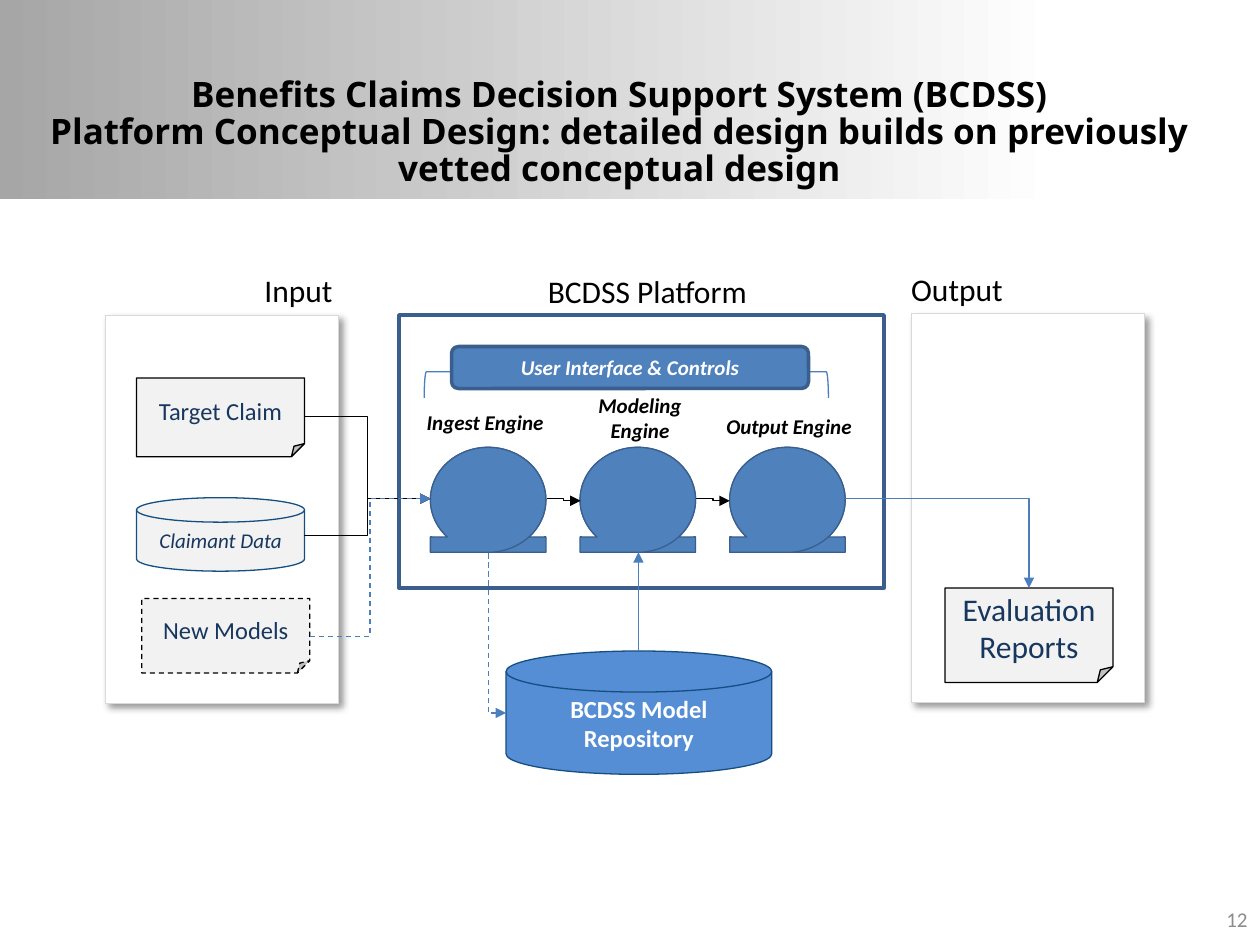
from dataclasses import dataclass
from typing import NamedTuple, Optional

from lxml import etree
from pptx import Presentation, util as u
from pptx.dml.color import RGBColor
from pptx.enum import dml, shapes as kinds, text as txt
from pptx.oxml import ns

KIND = kinds.MSO_SHAPE
LINK = kinds.MSO_CONNECTOR
ALIGN = txt.PP_ALIGN


@dataclass(frozen=True)
class Theme:
    font: str = "Calibri"
    head: str = "Noto Sans"
    black: str = "000000"
    white: str = "FFFFFF"
    pale: str = "F2F2F2"
    band: str = "A6A6A6"
    rim: str = "D9D9D9"
    mute: str = "8C8C8C"
    navy: str = "17375E"
    blue: str = "4F81BD"
    edge: str = "3A5F8C"
    disk: str = "558ED5"
    rim_disk: str = "154F82"
    wire: str = "4B7EBC"
    small: float = 12
    mid: float = 14
    big: float = 18
    title: float = 20
    thin: float = 0.75
    thick: float = 2


class Area(NamedTuple):
    col: float
    row: float
    wide: float
    high: float


class Style(NamedTuple):
    size: float
    hue: str
    bold: bool = False
    slant: bool = False
    font: str = "Calibri"


class Node(NamedTuple):
    kind: KIND
    area: Area
    fill: Optional[str]
    edge: str
    words: str = ""
    style: Optional[Style] = None
    width: float = 0.75
    dash: bool = False


class Label(NamedTuple):
    words: str
    area: Area
    style: Style
    align: ALIGN = ALIGN.LEFT
    wrap: bool = False


class Wire(NamedTuple):
    start: tuple
    stop: tuple
    hue: str
    form: str = "bentConnector3"
    dash: bool = False
    end: str = "tailEnd"


T = Theme()
COLS, ROWS = 120, 90
deck = Presentation()
deck.slide_width, deck.slide_height = u.Inches(10), u.Inches(7.5)
slide = deck.slides.add_slide(deck.slide_layouts[5])


def across(col: float) -> int:
    return round(deck.slide_width * col / COLS)


def down(row: float) -> int:
    return round(deck.slide_height * row / ROWS)


def place(area: Area) -> tuple:
    return across(area.col), down(area.row), across(area.wide), down(area.high)


def tint(hue: str) -> RGBColor:
    return RGBColor.from_string(hue)


def write(para, words: str, style: Style) -> None:
    run = para.add_run()
    run.text = words
    font = run.font
    font.name, font.size = style.font, u.Pt(style.size)
    font.bold, font.italic = style.bold, style.slant
    font.color.rgb = tint(style.hue)


def stroke(line, hue: str, width: float, dash: bool) -> None:
    line.color.rgb = tint(hue)
    line.width = u.Pt(width)
    if dash:
        line.dash_style = dml.MSO_LINE.DASH


def draw(node: Node, home=slide.shapes):
    shape = home.add_shape(node.kind, *place(node.area))
    shape.shadow.inherit = False
    if node.fill:
        shape.fill.solid()
        shape.fill.fore_color.rgb = tint(node.fill)
    else:
        shape.fill.background()
    stroke(shape.line, node.edge, node.width, node.dash)
    if node.words:
        frame = shape.text_frame
        frame.word_wrap = True
        frame.vertical_anchor = txt.MSO_ANCHOR.MIDDLE
        frame.paragraphs[0].alignment = ALIGN.CENTER
        write(frame.paragraphs[0], node.words, node.style)
    return shape


def flip(shape, axis: str) -> None:
    shape.element.spPr.find(ns.qn("a:xfrm")).set(axis, "1")


def card(area: Area) -> None:
    shape = draw(Node(KIND.RECTANGLE, area, T.white, T.rim, width=0.5))
    glow = etree.SubElement(
        shape.element.spPr.find(ns.qn("a:effectLst")), ns.qn("a:outerShdw"),
        blurRad=str(u.Pt(4)), dist=str(u.Pt(3)), dir="2700000", algn="tl", rotWithShape="0")
    hue = etree.SubElement(glow, ns.qn("a:srgbClr"), val=T.black)
    etree.SubElement(hue, ns.qn("a:alpha"), val="40000")


def reel(col: float) -> None:
    group = slide.shapes.add_group_shape()
    node = Node(KIND.FLOWCHART_SEQUENTIAL_ACCESS_STORAGE, Area(col, 42.6, 11, 10), T.blue, T.edge)
    draw(node, group.shapes)
    flip(draw(node, group.shapes), "flipH")


def tag(label: Label):
    box = slide.shapes.add_textbox(*place(label.area))
    frame = box.text_frame
    frame.word_wrap = label.wrap
    frame.auto_size = txt.MSO_AUTO_SIZE.SHAPE_TO_FIT_TEXT
    frame.paragraphs[0].alignment = label.align
    write(frame.paragraphs[0], label.words, label.style)
    return frame


def join(wire: Wire) -> None:
    (col, row), (col2, row2) = wire.start, wire.stop
    link = slide.shapes.add_connector(LINK.ELBOW, across(col), down(row), across(col2), down(row2))
    link.element.spPr.find(ns.qn("a:prstGeom")).set("prst", wire.form)
    stroke(link.line, wire.hue, T.thin, wire.dash)
    etree.SubElement(link.line._get_or_add_ln(), ns.qn("a:" + wire.end), type="triangle")
    etree.SubElement(link.element.spPr, ns.qn("a:effectLst"))


def band() -> None:
    shape = draw(Node(KIND.RECTANGLE, Area(0, 0, COLS, 19), T.white, T.white))
    shape.line.fill.background()
    shape.fill.gradient()
    shape.fill.gradient_angle = 0
    for stop, hue, spot in zip(shape.fill.gradient_stops, (T.band, T.white), (0, 0.84)):
        stop.color.rgb, stop.position = tint(hue), spot


def head() -> None:
    title = slide.shapes.title
    title.left, title.top, title.width, title.height = place(Area(2, 5.2, 114, 15))
    title.element.getparent().append(title.element)
    title.text_frame.vertical_anchor = txt.MSO_ANCHOR.MIDDLE
    para = title.text_frame.paragraphs[0]
    para.alignment, para.line_spacing = ALIGN.CENTER, 0.88
    style = Style(T.title, T.black, True, font=T.head)
    write(para, "Benefits Claims Decision Support System (BCDSS)", style)
    para.add_line_break()
    write(para, "Platform Conceptual Design: detailed design builds on previously "
                "vetted conceptual design", style)


def main() -> None:
    note = Style(T.mid, T.navy)
    name = Style(T.small, T.black, True, True)
    large = Style(T.big, T.black)
    fold, disk = KIND.FOLDED_CORNER, KIND.FLOWCHART_MAGNETIC_DISK
    band()
    card(Area(86.8, 29.9, 22.2, 37))
    card(Area(10, 30, 22.2, 37))
    draw(Node(KIND.RECTANGLE, Area(38, 30, 46.2, 26), T.white, T.edge, width=T.thick))
    for step in range(3):
        reel(41 + 14.25 * step)
    brace = draw(Node(KIND.LEFT_BRACKET, Area(58.4, 17.4, 2.5, 38.5), None, T.wire))
    brace.rotation = 90
    flip(brace, "flipV")
    for node in (
        Node(fold, Area(13, 36, 16, 7.5), T.pale, T.black, "Target Claim", note),
        Node(disk, Area(13, 47.4, 16, 7), T.pale, T.rim_disk, "Claimant Data",
             Style(T.small, T.navy, slant=True)),
        Node(fold, Area(13.5, 57, 16, 7.1), T.pale, T.black, "New Models", note, dash=True),
        Node(disk, Area(48.2, 62, 25.3, 11.75), T.disk, T.rim_disk, "BCDSS Model Repository",
             Style(T.mid, T.white, True)),
        Node(fold, Area(90, 56, 16, 9), T.pale, T.black, "Evaluation Reports",
             Style(T.big, T.navy)),
        Node(KIND.ROUNDED_RECTANGLE, Area(43, 33, 34, 4), T.blue, T.edge,
             "User Interface & Controls", Style(T.small, T.white, True, True), T.thick),
    ):
        draw(node)
    for wire in (
        Wire((29, 39.7), (41, 47.5), T.black),
        Wire((29, 51), (41, 47.5), T.black),
        Wire((52.1, 47.5), (55.3, 47.7), T.black),
        Wire((66.3, 47.5), (69.5, 47.7), T.black),
        Wire((80.5, 47.5), (98, 56), T.wire, "bentConnector2"),
        Wire((29.5, 60.6), (41, 47.5), T.wire, dash=True),
        Wire((48.2, 67.9), (46.5, 52.6), T.wire, "bentConnector2", True, "headEnd"),
        Wire((60.8, 62), (60.8, 52.6), T.wire, "straightConnector1"),
    ):
        join(wire)
    for label in (
        Label("Ingest Engine", Area(39.2, 38.4, 14, 3.6), name, ALIGN.CENTER, True),
        Label("Modeling Engine", Area(55.7, 36.8, 10.5, 6), name, ALIGN.CENTER, True),
        Label("Output Engine", Area(68, 38.8, 14.5, 3.6), name),
        Label("BCDSS Platform", Area(51, 25.3, 21.6, 4.8), large),
        Label("Input", Area(24, 25.2, 9, 4.8), large),
        Label("Output", Area(85.6, 25.1, 11.3, 4.8), large),
    ):
        tag(label)
    page = tag(Label("12", Area(92, 85.1, 28, 4.8), Style(T.small, T.mute), ALIGN.RIGHT, True))
    page.auto_size = txt.MSO_AUTO_SIZE.NONE
    page.vertical_anchor = txt.MSO_ANCHOR.MIDDLE
    head()
    deck.save("out.pptx")


if __name__ == "__main__":
    main()
